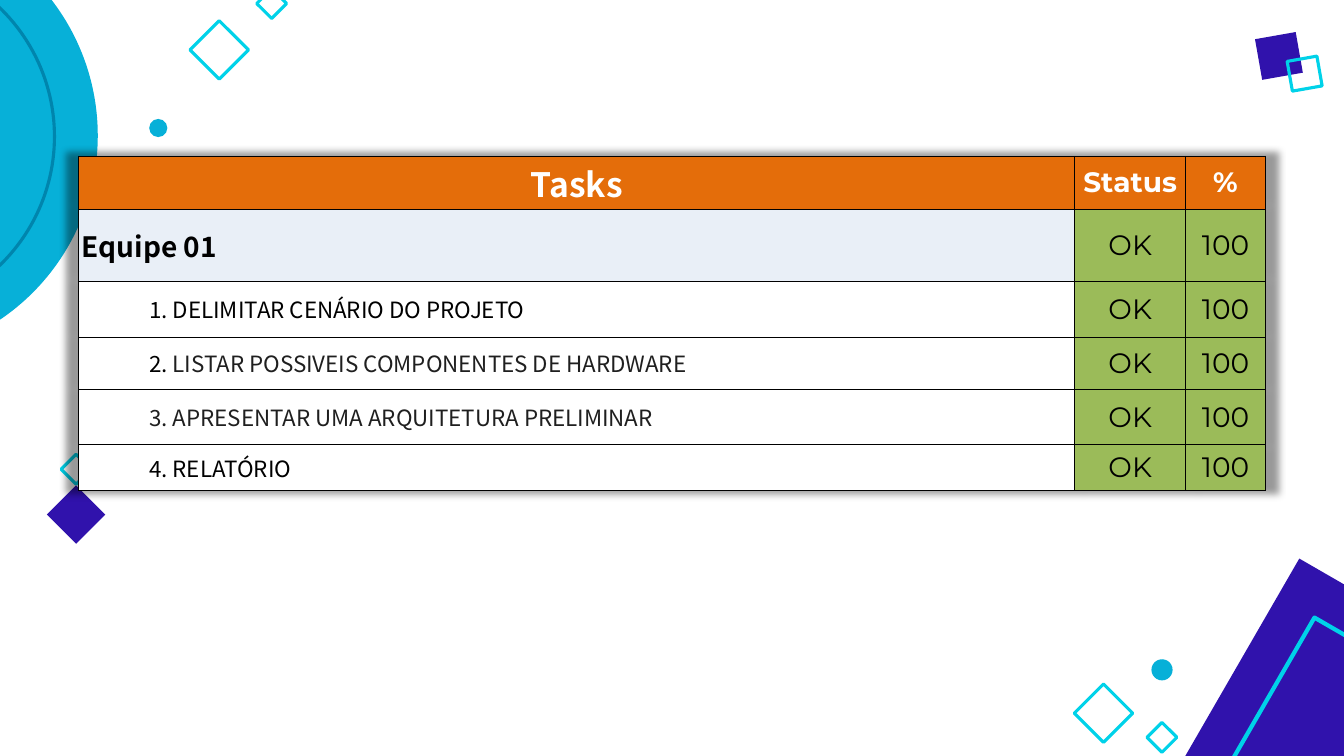
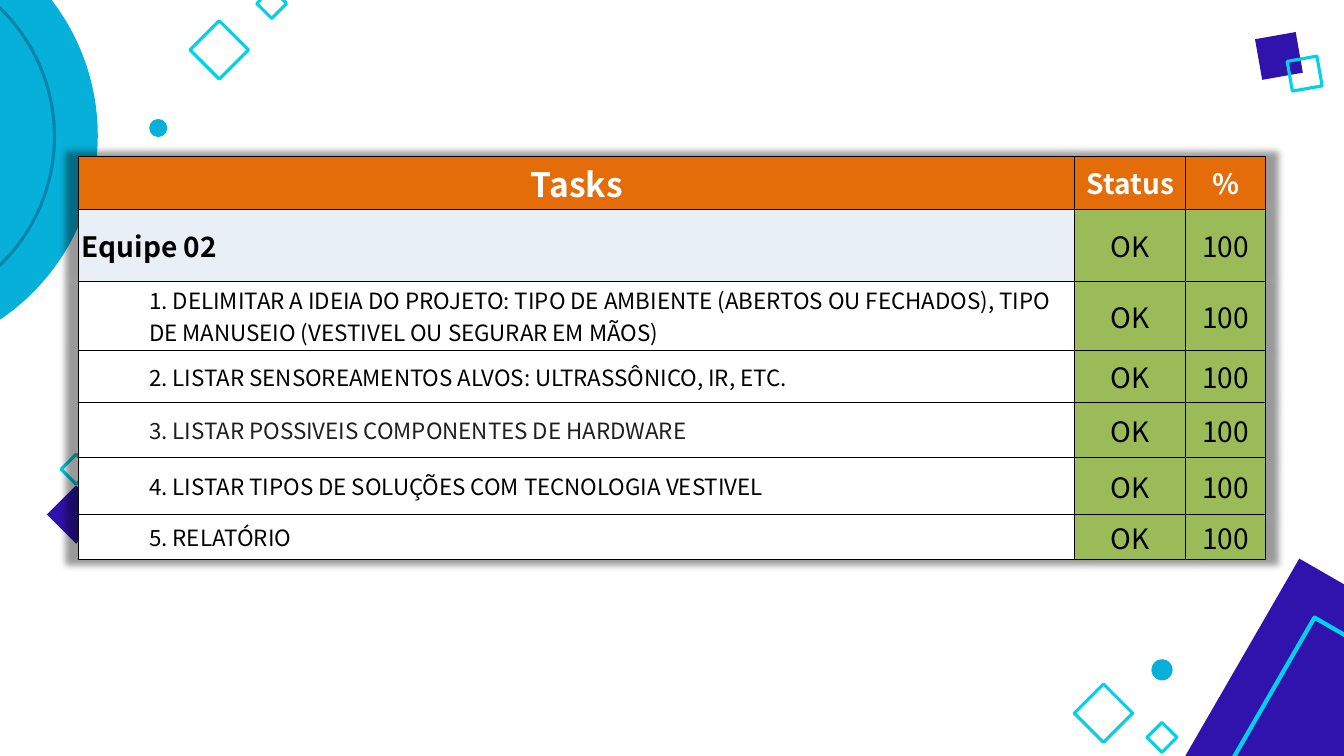
from lxml import etree
from pptx import Presentation
from pptx.dml.color import RGBColor
from pptx.enum.shapes import MSO_SHAPE as Shape
from pptx.enum.text import MSO_ANCHOR as Anchor, PP_ALIGN as Align
from pptx.oxml.ns import nsdecls
from pptx.util import Inches, Pt

COLORS = {
    "violet": "3012AC", "cyan": "00D2E9", "blue": "07B0D8", "teal": "0085AD",
    "header": "E46D0A", "team": "E9EFF7", "done": "9BBB59",
    "white": "FFFFFF", "black": "000000", "ink": "1F1F1F",
}
SANS, DISPLAY = "Noto Sans CJK JP", "Montserrat"

# shape, left, top, side, rotation, colour, outline width (0 means filled)
DECORATIONS = [
    (Shape.RECTANGLE, 11.59, 6.29, 4.09, 30, "violet", 0),
    (Shape.RECTANGLE, 12.01, 6.72, 3.24, 30, "cyan", 3),
    (Shape.RECTANGLE, 1.97, 0.29, 0.41, 315, "cyan", 2.25),
    (Shape.RECTANGLE, 2.59, -0.07, 0.21, 315, "cyan", 2.25),
    (Shape.RECTANGLE, 10.74, 6.87, 0.41, 315, "cyan", 2.25),
    (Shape.RECTANGLE, 0.65, 4.55, 0.21, 315, "cyan", 2.25),
    (Shape.OVAL, 11.42, 6.54, 0.21, 0, "blue", 0),
    (Shape.OVAL, 1.48, 1.18, 0.18, 0, "blue", 0),
    (Shape.RECTANGLE, 12.48, 0.35, 0.41, 260, "violet", 0),
    (Shape.RECTANGLE, 12.79, 0.58, 0.3, 260, "cyan", 2.25),
    (Shape.RECTANGLE, 0.55, 4.9, 0.41, 315, "violet", 0),
    (Shape.OVAL, -3.44, -0.86, 4.41, 0, "blue", 0),
    (Shape.OVAL, -3.01, -0.42, 3.55, 0, "teal", 2.25),
    (Shape.RECTANGLE, 11.42, 7.21, 0.21, 315, "cyan", 2.25),
]

TABLE_LEFT, TABLE_TOP = 0.78, 1.55
COLUMN_WIDTHS = [9.88, 1.1, 0.79]
HEADINGS = ["Tasks", "Status", "%"]
RESULTS = ["OK", "100"]
HEADER_HEIGHT, TEAM_HEIGHT = 0.52, 0.72
TASK_INDENT = 0.67

# Each task: row height, then its runs as (text, colour)
TEAMS = [
    {"name": "Equipe 01", "result_font": DISPLAY, "tasks": [
        (0.55, [("1. DELIMITAR CENÁRIO DO PROJETO", "black")]),
        (0.52, [("2. ", "black"), ("LISTAR POSSIVEIS COMPONENTES DE HARDWARE", "ink")]),
        (0.55, [("3. APRESENTAR UMA ARQUITETURA PRELIMINAR", "ink")]),
        (0.45, [("4. RELATÓRIO", "black")]),
    ]},
    {"name": "Equipe 02", "result_font": SANS, "tasks": [
        (0.68, [("1. DELIMITAR A IDEIA DO PROJETO: TIPO DE AMBIENTE (ABERTOS OU FECHADOS), "
                 "TIPO DE MANUSEIO (VESTIVEL OU SEGURAR EM MÃOS)", "black")]),
        (0.52, [("2. LISTAR SENSOREAMENTOS ALVOS: ULTRASSÔNICO, IR, ETC.", "black")]),
        (0.55, [("3. LISTAR POSSIVEIS COMPONENTES DE HARDWARE", "ink")]),
        (0.56, [("4. LISTAR TIPOS DE SOLUÇÕES COM TECNOLOGIA VESTIVEL", "black")]),
        (0.45, [("5. RELATÓRIO", "black")]),
    ]},
]


def rgb(name):
    return RGBColor.from_string(COLORS[name])


def decorate(layout, slide):
    """Draw the decorations on slide, then move them to the layout that all slides share."""
    for placeholder in list(layout.placeholders):
        layout.shapes.element.remove(placeholder.element)
    for preset, left, top, side, rotation, color, outline in DECORATIONS:
        ornament = slide.shapes.add_shape(
            preset, Inches(left), Inches(top), Inches(side), Inches(side))
        ornament.rotation = rotation
        ornament.shadow.inherit = False
        if outline:
            ornament.fill.background()
            ornament.line.color.rgb = rgb(color)
            ornament.line.width = Pt(outline)
        else:
            ornament.fill.solid()
            ornament.fill.fore_color.rgb = rgb(color)
            ornament.line.fill.background()
        layout.shapes.element.append(ornament.element)


def add_borders(cell):
    properties = cell._tc.get_or_add_tcPr()
    for side in ("lnL", "lnR", "lnT", "lnB"):
        properties.append(etree.fromstring(
            f'<a:{side} {nsdecls("a")} w="{Pt(0.75)}"><a:solidFill>'
            f'<a:srgbClr val="{COLORS["black"]}"/></a:solidFill></a:{side}>'))


def add_table_shadow(table):
    table._tbl.tblPr.insert(0, etree.fromstring(
        f'<a:effectLst {nsdecls("a")}><a:outerShdw blurRad="{Pt(5)}" sx="102000" sy="102000" '
        f'algn="ctr" rotWithShape="0"><a:srgbClr val="{COLORS["black"]}">'
        '<a:alpha val="40000"/></a:srgbClr></a:outerShdw></a:effectLst>'))


def fill_cell(cell, runs, fill, size, font=SANS, bold=False, align=Align.CENTER):
    cell.margin_left = cell.margin_right = Inches(0.03)
    cell.margin_top = cell.margin_bottom = Inches(0.02)
    cell.vertical_anchor = Anchor.MIDDLE
    add_borders(cell)
    cell.fill.solid()
    cell.fill.fore_color.rgb = rgb(fill)
    paragraph = cell.text_frame.paragraphs[0]
    paragraph.alignment = align
    for text, color in runs:
        run = paragraph.add_run()
        run.text = text
        run.font.name = font
        run.font.size = Pt(size)
        run.font.bold = bold
        run.font.color.rgb = rgb(color)


def add_task_table(slide, team):
    heights = [HEADER_HEIGHT, TEAM_HEIGHT] + [height for height, _ in team["tasks"]]
    table = slide.shapes.add_table(
        len(heights), len(COLUMN_WIDTHS), Inches(TABLE_LEFT), Inches(TABLE_TOP),
        Inches(sum(COLUMN_WIDTHS)), Inches(sum(heights))).table
    add_table_shadow(table)
    for column, width in zip(table.columns, COLUMN_WIDTHS):
        column.width = Inches(width)
    for row, height in zip(table.rows, heights):
        row.height = Inches(height)

    result_font = team["result_font"]
    for index, heading in enumerate(HEADINGS):
        size, font = (20, result_font) if index else (24, SANS)
        fill_cell(table.cell(0, index), [(heading, "white")], "header", size, font, bold=True)

    fill_cell(table.cell(1, 0), [(team["name"], "black")], "team", 20,
              bold=True, align=Align.LEFT)
    for row, (_, runs) in enumerate(team["tasks"], start=2):
        task = table.cell(row, 0)
        fill_cell(task, runs, "white", 16, align=Align.LEFT)
        paragraph = task.text_frame.paragraphs[0]
        paragraph.level = 1
        paragraph._p.get_or_add_pPr().set("marL", str(Inches(TASK_INDENT)))

    for row in range(1, len(heights)):
        for column, result in enumerate(RESULTS, start=1):
            fill_cell(table.cell(row, column), [(result, "black")], "done", 20, result_font)


def main():
    deck = Presentation()
    deck.slide_width, deck.slide_height = Inches(13.33), Inches(7.5)
    layout = deck.slide_layouts.get_by_name("Blank")
    slides = [deck.slides.add_slide(layout) for _ in TEAMS]
    decorate(layout, slides[0])
    for slide, team in zip(slides, TEAMS):
        add_task_table(slide, team)
    deck.save("out.pptx")


if __name__ == "__main__":
    main()
